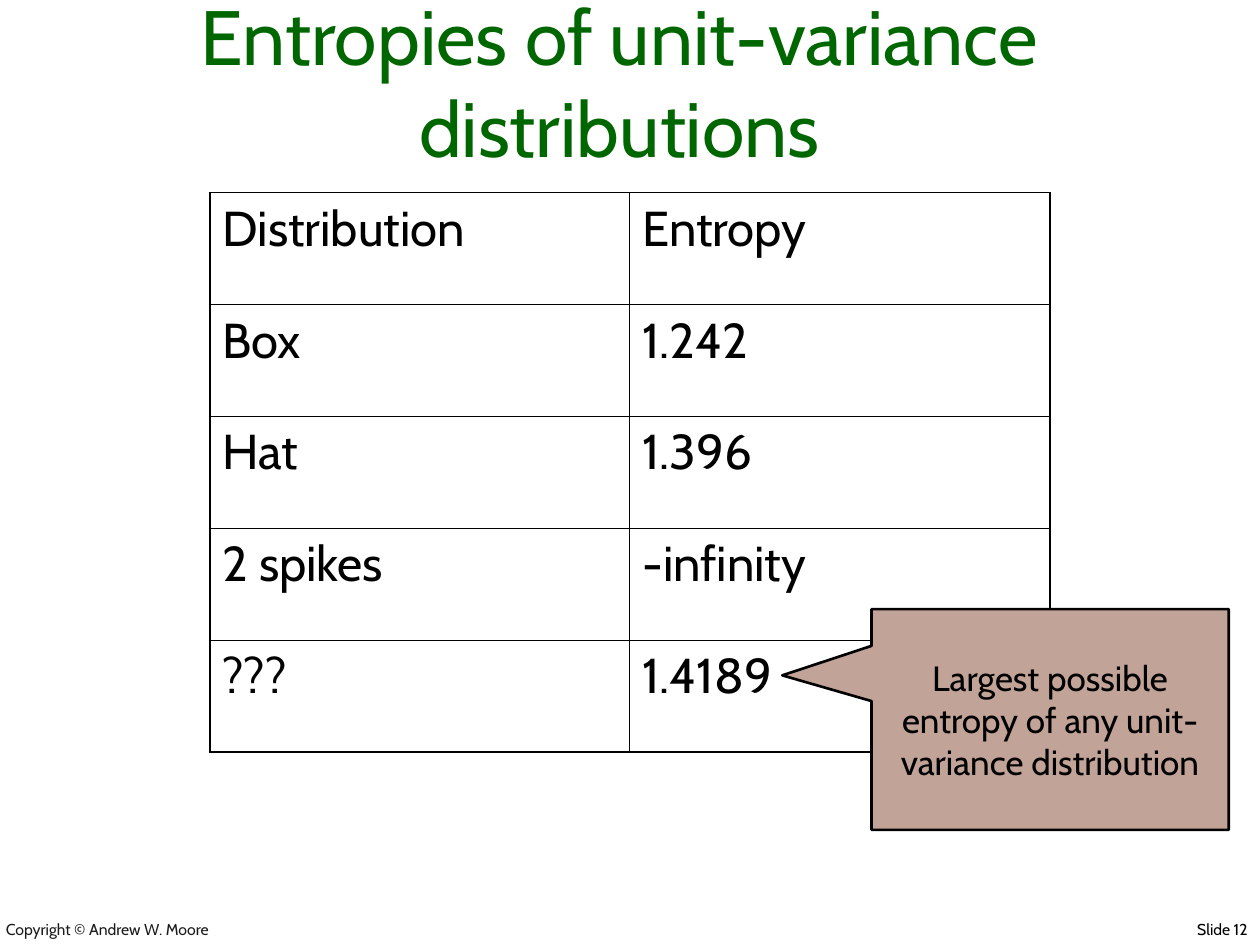
import dataclasses

import lxml.etree
import pptx
import pptx.dml.color
import pptx.enum.shapes
import pptx.enum.text
import pptx.oxml.ns
import pptx.util

Cm = pptx.util.Cm
Pt = pptx.util.Pt
Align = pptx.enum.text.PP_ALIGN
Anchor = pptx.enum.text.MSO_ANCHOR


@dataclasses.dataclass(frozen=True)
class Theme:
    font: str = "Cabin"
    ink: str = "000000"
    grey: str = "1C1C1C"
    green: str = "006600"
    tan: str = "C2A398"
    title: int = 44
    cell: int = 28
    note: int = 20
    foot: int = 9
    thick: float = 1.08
    thin: float = 0.45
    edge: float = 1.5


THEME = Theme()

ROWS = [
    ("Distribution", "Entropy"),
    ("Box", "1.242"),
    ("Hat", "1.396"),
    ("2 spikes", "-infinity"),
    ("???", "1.4189"),
]


def color(code):
    return pptx.dml.color.RGBColor.from_string(code)


def write(frame, text, size, ink=THEME.ink, align=Align.LEFT, anchor=Anchor.TOP):
    frame.word_wrap = True
    frame.vertical_anchor = anchor
    para = frame.paragraphs[0]
    para.alignment = align
    run = para.add_run()
    run.text = text
    run.font.name = THEME.font
    run.font.size = Pt(size)
    run.font.color.rgb = color(ink)


def label(slide, box, text, size, **form):
    shape = slide.shapes.add_textbox(*map(Cm, box))
    write(shape.text_frame, text, size, **form)


def border(cell, side, width):
    qn = pptx.oxml.ns.qn
    props = cell._tc.get_or_add_tcPr()
    line = lxml.etree.SubElement(props, qn(f"a:ln{side}"), w=str(int(Pt(width))))
    fill = lxml.etree.SubElement(line, qn("a:solidFill"))
    lxml.etree.SubElement(fill, qn("a:srgbClr"), val=THEME.ink)


def grid(slide, left, top, wide, high, rows):
    count, span = len(rows), len(rows[0])
    shape = slide.shapes.add_table(count, span, Cm(left), Cm(top), Cm(wide), Cm(high))
    table = shape.table
    table.first_row = table.horz_banding = False
    for i, row in enumerate(rows):
        for j, text in enumerate(row):
            cell = table.cell(i, j)
            write(cell.text_frame, text, THEME.cell)
            # Outer edges are thick, inner ones thin
            outer = {"L": j == 0, "R": j == span - 1, "T": i == 0, "B": i == count - 1}
            for side, out in outer.items():
                border(cell, side, THEME.thick if out else THEME.thin)
            cell.fill.background()


def callout(slide, box, tip, text):
    kind = pptx.enum.shapes.MSO_SHAPE.RECTANGULAR_CALLOUT
    shape = slide.shapes.add_shape(kind, *map(Cm, box))
    shape.adjustments[0], shape.adjustments[1] = tip
    shape.shadow.inherit = False
    shape.fill.solid()
    shape.fill.fore_color.rgb = color(THEME.tan)
    shape.line.color.rgb = color(THEME.ink)
    shape.line.width = Pt(THEME.edge)
    write(shape.text_frame, text, THEME.note, align=Align.CENTER, anchor=Anchor.MIDDLE)


def main():
    deck = pptx.Presentation()
    deck.slide_width, deck.slide_height = Cm(25.4), Cm(19.05)
    slide = deck.slides.add_slide(deck.slide_layouts[6])

    # Footer
    label(slide, (-0.13, 18.34, 14.1, 0.71), "Copyright © Andrew W. Moore",
          THEME.foot, ink=THEME.grey, anchor=Anchor.BOTTOM)
    label(slide, (15.44, 18.41, 9.96, 0.68), "Slide 12", THEME.foot, align=Align.RIGHT)

    # Title
    label(slide, (0.64, 0.64, 23.7, 2.97), "Entropies of unit-variance distributions",
          THEME.title, ink=THEME.green, align=Align.CENTER, anchor=Anchor.BOTTOM)

    # Entropy table and its remark
    grid(slide, 4.23, 3.88, 16.93, 11.29, ROWS)
    callout(slide, (17.57, 12.28, 7.2, 4.45), (-0.75, -0.2),
            "Largest possible entropy of any unit-variance distribution")

    deck.save("out.pptx")


if __name__ == "__main__":
    main()
